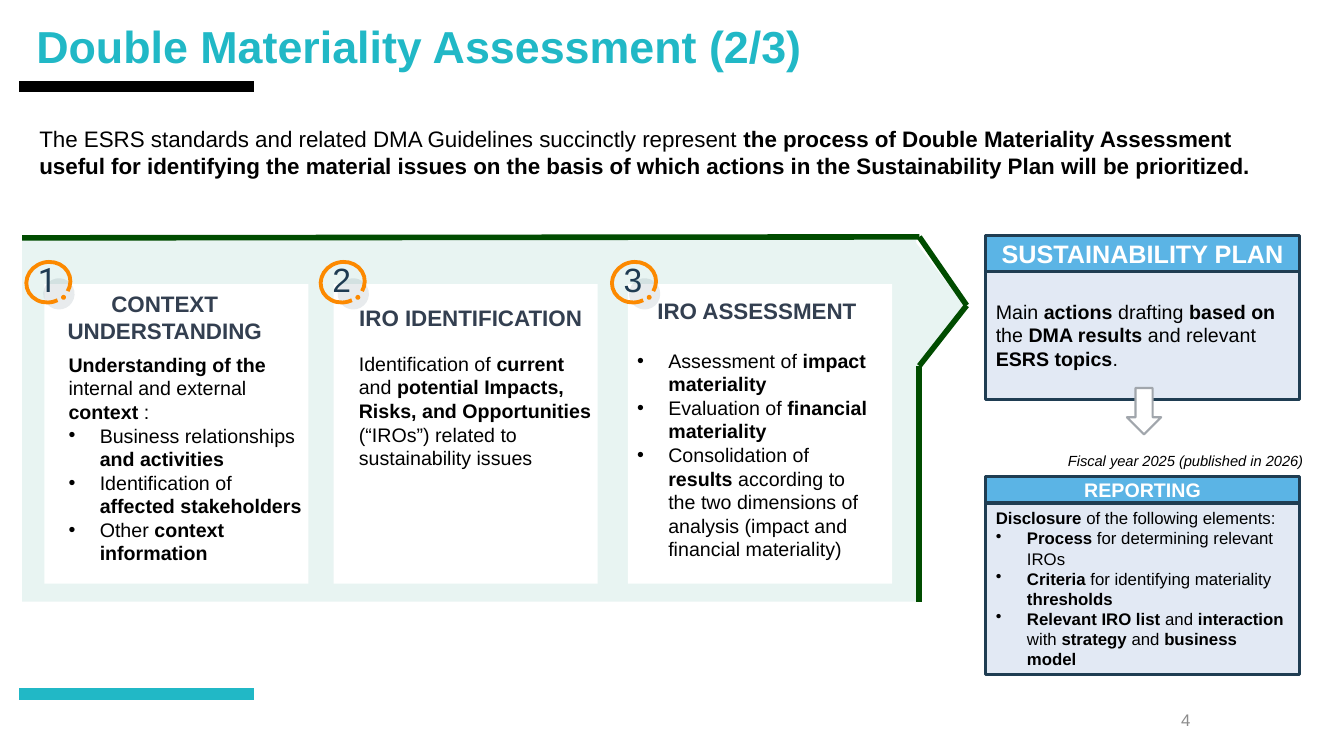
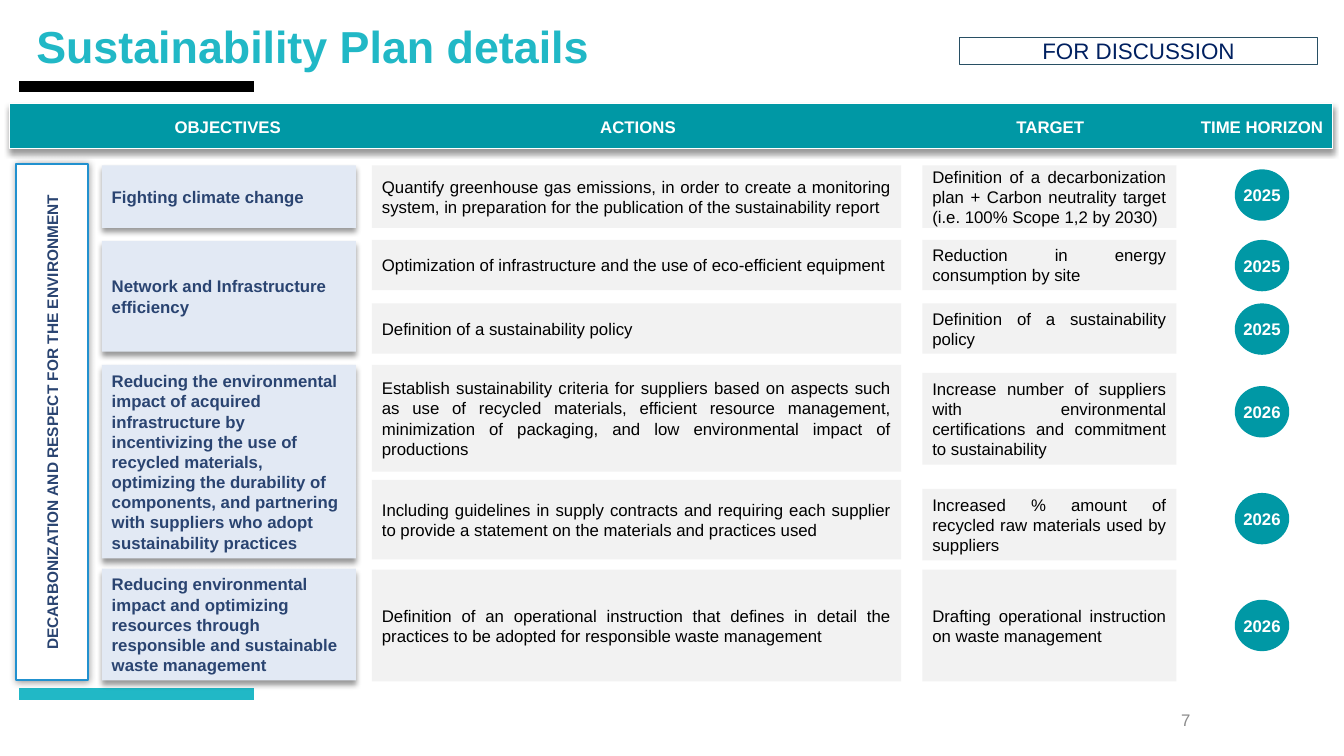
from itertools import pairwise
from lxml.etree import SubElement
from pptx import Presentation
from pptx.dml.color import RGBColor
from pptx.enum.shapes import MSO_CONNECTOR, MSO_SHAPE
from pptx.enum.text import MSO_ANCHOR, MSO_AUTO_SIZE, PP_ALIGN
from pptx.oxml.ns import qn
from pptx.util import Inches, Pt

# Grid: square cells, 75 rows high; every box is (column, row, columns, rows)
CELL = Inches(0.1)
WIDE, HIGH = 133.33, 75

CYAN = RGBColor(0x21, 0xB8, 0xC6)
TEAL = RGBColor(0x00, 0x98, 0xA5)
BLACK = RGBColor(0x00, 0x00, 0x00)
WHITE = RGBColor(0xFF, 0xFF, 0xFF)
GRAY = RGBColor(0x8C, 0x8C, 0x8C)
MINT = RGBColor(0xE8, 0xF4, 0xF2)
GREEN = RGBColor(0x00, 0x4C, 0x00)
SLATE = RGBColor(0x33, 0x3F, 0x50)
NAVY = RGBColor(0x1E, 0x3B, 0x52)
ORANGE = RGBColor(0xFC, 0x89, 0x00)
SKY = RGBColor(0x5B, 0xB4, 0xE5)
EDGE = RGBColor(0x1F, 0x3D, 0x52)
PALE = RGBColor(0xE2, 0xE9, 0xF4)
STEEL = RGBColor(0xA1, 0xA6, 0xAC)
INK = RGBColor(0x2A, 0x44, 0x71)
BLUE = RGBColor(0x21, 0x91, 0xCF)
DEEP = RGBColor(0x00, 0x20, 0x60)
FRAME = RGBColor(0x28, 0x4F, 0x64)
ASH = RGBColor(0xF2, 0xF2, 0xF2)

LEFT, MID, RIGHT, FULL = PP_ALIGN.LEFT, PP_ALIGN.CENTER, PP_ALIGN.RIGHT, PP_ALIGN.JUSTIFY
TOP, HALF = MSO_ANCHOR.TOP, MSO_ANCHOR.MIDDLE
RECT, OVAL = MSO_SHAPE.RECTANGLE, MSO_SHAPE.OVAL


def place(shape, box):
    for name, size in zip(("left", "top", "width", "height"), box):
        setattr(shape, name, round(size * CELL))


def write(shape, lines, size, ink, align=LEFT, anchor=HALF, pad=(0.1, 0.05),
          space=1.0, bold=False, italic=False, face="Arial"):
    """Fill a shape: *stars* mark bold words, a leading "- " marks a bullet."""
    frame = shape.text_frame
    form = {"word_wrap": True, "auto_size": MSO_AUTO_SIZE.NONE, "vertical_anchor": anchor,
            "margin_left": Inches(pad[0]), "margin_right": Inches(pad[0]),
            "margin_top": Inches(pad[1]), "margin_bottom": Inches(pad[1])}
    for name, value in form.items():
        setattr(frame, name, value)
    for count, line in enumerate(lines):
        para = frame.add_paragraph() if count else frame.paragraphs[0]
        para.alignment, para.line_spacing, para.space_before = align, space, Pt(0)
        dot = line.startswith("- ")
        props = para._p.get_or_add_pPr()
        props.set("marL", str(Inches(0.31) if dot else 0))
        props.set("indent", str(Inches(-0.31) if dot else 0))
        if dot:
            SubElement(props, qn("a:buChar")).set("char", "•")
        else:
            SubElement(props, qn("a:buNone"))
        for odd, piece in enumerate(line.removeprefix("- ").split("*")):
            if piece:
                run = para.add_run()
                run.text = piece
                font = {"name": face, "size": Pt(size), "bold": bold or odd % 2 == 1,
                        "italic": italic}
                for name, value in font.items():
                    setattr(run.font, name, value)
                run.font.color.rgb = ink
    return shape


def draw(host, kind, box, fill=None, edge=None, width=1.0, turn=0.0):
    shape = host.shapes.add_shape(kind, 0, 0, 0, 0)
    place(shape, box)
    shape.shadow.inherit = False
    shape.rotation = turn
    if fill is None:
        shape.fill.background()
    else:
        shape.fill.solid()
        shape.fill.fore_color.rgb = fill
    if edge is None:
        shape.line.fill.background()
    else:
        shape.line.color.rgb = edge
        shape.line.width = Pt(width)
    return shape


def label(host, box, *args, **form):
    text = host.shapes.add_textbox(0, 0, 0, 0)
    place(text, box)
    return write(text, *args, **form)


def rule(slide, start, end, ink, width):
    ends = [round(n * CELL) for n in (*start, *end)]
    line = slide.shapes.add_connector(MSO_CONNECTOR.STRAIGHT, *ends)
    line.line.color.rgb = ink
    line.line.width = Pt(width)
    SubElement(line._element.spPr, qn("a:effectLst"))


def shade(shape, blur=4, dist=3):
    glow = SubElement(shape._element.spPr.find(qn("a:effectLst")), qn("a:outerShdw"))
    form = {"blurRad": Pt(blur), "dist": Pt(dist), "dir": 90 * 60000, "rotWithShape": 0}
    for name, value in form.items():
        glow.set(name, str(value))
    ink = SubElement(glow, qn("a:srgbClr"))
    ink.set("val", str(BLACK))
    SubElement(ink, qn("a:alpha")).set("val", "40000")


def fade(shape, share):
    ink = shape._element.spPr.find(qn("a:solidFill"))[0]
    SubElement(ink, qn("a:alpha")).set("val", str(share * 1000))


def begin(deck, kind, title, number, width):
    """Add a slide with the shared title, bars and page number."""
    slide = deck.slides.add_slide(deck.slide_layouts[kind])
    place(slide.shapes.title, (2.6, 1.1, width, 7.6))
    write(slide.shapes.title, [title], 32, CYAN, space=0.9, bold=True)
    for row, ink in ((8.6, BLACK), (68.85, CYAN)):
        rule(slide, (1.9, row), (25.2, row), ink, 8)
    label(slide, (89.1, 69.4, 30, 4), [number], 12, GRAY, align=RIGHT)
    return slide


def body(slide, index, box, lines, size, **form):
    """Fill a body placeholder and bring it to the front."""
    hold = slide.placeholders[index]
    place(hold, box)
    write(hold, lines, size, BLACK, anchor=TOP, **form)
    hold._element.getparent().append(hold._element)


def badge(slide, x, y, digit, face):
    group = slide.shapes.add_group_shape()
    fade(draw(group, OVAL, (x + 1.7, y + 1.6, 3.1, 3.1), NAVY, turn=198.4), 10)
    ring = draw(group, MSO_SHAPE.ARC, (x, y, 4.4, 4), None, ORANGE, 2.75, 344.8)
    ring.adjustments[0], ring.adjustments[1] = 46.89, 23.99
    draw(group, OVAL, (x + 3.6, y + 3.4, 0.2, 0.2), ORANGE, ORANGE, 2)
    label(group, (x - 3.3, y - 1.5, 10.8, 6.9), [digit], 24, NAVY,
          align=MID, pad=(0, 0), space=0.9, face=face)


# Steps: card column, badge column, heading box, text box, face, heading, text
STEPS = [
    (4.4, 2.6, (4.5, 28.8, 23.7, 5.4), (5.8, 34.5, 25.8, 22), "Roboto",
     "CONTEXT UNDERSTANDING",
     ["*Understanding of the *internal and external *context *:",
      "- Business relationships *and activities*",
      "- Identification of *affected stakeholders*",
      "- Other *context information*"]),
    (33.1, 31.8, (34.9, 30.2, 23.6, 2.7), (34.6, 34.4, 25.8, 15.1), "Arial",
     "IRO IDENTIFICATION",
     ["Identification of *current* and *potential Impacts, Risks, and Opportunities *"
      "(“IROs”) related to sustainability issues"]),
    (62.3, 60.7, (63.3, 29.5, 23.6, 2.7), (62.2, 34.1, 25.8, 22), "Arial",
     "IRO ASSESSMENT",
     ["- Assessment of* impact materiality*",
      "- Evaluation of* financial materiality*",
      "- Consolidation of *results *according to the two dimensions of analysis "
      "(impact and financial materiality)"]),
]


def process(slide, box):
    """Green arrow panel holding the three steps."""
    x, y, w, h = box
    draw(slide, RECT, box, MINT)
    draw(slide, MSO_SHAPE.ISOSCELES_TRIANGLE, (x + w - 4, y + 4.4, 12.7, 4.9), MINT, turn=90)
    right = x + w + 0.3
    points = [(x, y + 0.1), (right, y), (right + 4.7, y + 6.8), (right, y + 12.8),
              (right, y + h)]
    for start, end in pairwise(points):
        rule(slide, start, end, GREEN, 4)
    for order, (col, ring, top, text, face, head, lines) in enumerate(STEPS, 1):
        draw(slide, RECT, (col, y + 4.7, 26.2, 29.7), WHITE)
        body(slide, order + 1, text, lines, 14)
        label(slide, top, [head], 16, SLATE, align=MID, pad=(0, 0), bold=True)
        badge(slide, ring, y + 2.5, str(order), face)


def panel(slide, box, cap, head, size, lines, small):
    """Framed box with a caption strip of the given height."""
    x, y, w, h = box
    strip = draw(slide, RECT, (x, y, w, cap), SKY, EDGE, 2.25)
    write(strip, [head], size, WHITE, align=MID, bold=True)
    write(draw(slide, RECT, (x, y + cap, w, h - cap), PALE, EDGE, 2.25), lines, small, BLACK)


def assess(deck):
    slide = begin(deck, 4, "Double Materiality Assessment (2/3)", "4", 118.9)
    body(slide, 1, (2.6, 11.7, 125.3, 6.6),
         ["The ESRS standards and related DMA Guidelines succinctly represent *the process of "
          "Double Materiality Assessment useful for identifying the material issues on the basis "
          "of which actions in the Sustainability Plan will be prioritized.*"],
         16, pad=(0.13, 0.07))
    process(slide, (2.2, 23.5, 88.7, 36.2))
    # Outcomes on the right
    panel(slide, (97.8, 47.3, 31.1, 19.6), 2.6, "REPORTING", 14,
          ["*Disclosure* of the following elements:",
           "- *Process* for determining relevant IROs",
           "- *Criteria* for identifying materiality *thresholds*",
           "- *Relevant IRO list* and *interaction* with *strategy* and *business model*"], 12)
    write(draw(slide, RECT, (101.1, 44.6, 29.2, 2.1), WHITE),
          ["Fiscal year 2025 (published in 2026)"], 10.5, BLACK, align=RIGHT, italic=True)
    panel(slide, (97.8, 23.4, 31.1, 16.2), 3.5, "SUSTAINABILITY PLAN", 18,
          ["Main *actions* drafting *based on *the *DMA results *and relevant *ESRS topics*."], 14)
    draw(slide, MSO_SHAPE.DOWN_ARROW, (111.8, 38.5, 3.4, 4.6), WHITE, STEEL, 1.5)


# Plan: heading centres, objectives (row, rows, text)
HEADS = [(22.6, "OBJECTIVES"), (63.3, "ACTIONS"), (104.2, "TARGET"), (125.2, "TIME HORIZON")]
GOALS = [
    (16.4, 6.2, "Fighting climate change"),
    (23.9, 11, "Network and Infrastructure efficiency"),
    (36.2, 19.2, "Reducing the environmental impact of acquired infrastructure by incentivizing "
     "the use of recycled materials, optimizing the durability of components, and partnering "
     "with suppliers who adopt sustainability practices"),
    (56.4, 11.1, "Reducing environmental impact and optimizing resources through responsible "
     "and sustainable waste management"),
]
# Actions: (row, rows), text, target (row, rows), text, year row, year
ACTS = [
    ((16.4, 6.2), "Quantify greenhouse gas emissions, in order to create a monitoring system, in "
     "preparation for the publication of the sustainability report",
     (16.4, 6.2), "Definition of a decarbonization plan + Carbon neutrality target "
     "(i.e. 100% Scope 1,2 by 2030)", 16.8, "2025"),
    ((23.8, 5), "Optimization of infrastructure and the use of eco-efficient equipment",
     (23.8, 5), "Reduction in energy consumption by site", 23.8, "2025"),
    ((30.1, 5), "Definition of a sustainability policy",
     (30.1, 5), "Definition of a sustainability policy", 30.1, "2025"),
    ((36.2, 10.6), "Establish sustainability criteria for suppliers based on aspects such as use "
     "of recycled materials, efficient resource management, minimization of packaging, and low "
     "environmental impact of productions",
     (37, 9.1), "Increase number of suppliers with environmental certifications and commitment "
     "to sustainability", 38.3, "2026"),
    ((47.6, 7.9), "Including guidelines in supply contracts and requiring each supplier to "
     "provide a statement on the materials and practices used",
     (48.5, 7.1), "Increased % amount of recycled raw materials used by suppliers",
     48.9, "2026"),
    ((56.5, 11.1), "Definition of an operational instruction that defines in detail the "
     "practices to be adopted for responsible waste management",
     (56.5, 11.1), "Drafting operational instruction on waste management", 59.5, "2026"),
]


def theme(slide, box, text):
    """Upright side strip: a lying box turned a quarter left."""
    x, y, w, h = box
    lying = (x + (w - h) / 2, y + (h - w) / 2, h, w)
    strip = draw(slide, RECT, lying, WHITE, BLUE, 1.5, 270)
    shade(strip, 5, 0)
    write(strip, [text], 11, INK, align=MID, bold=True)


def header(slide, box):
    x, y, w, h = box
    shade(draw(slide, RECT, box, TEAL, WHITE, 0.5))
    for centre, text in HEADS:
        label(slide, (centre - 7.2, y + 0.8, 14.4, 3), [text], 12, WHITE,
              align=MID, anchor=TOP, bold=True)


def grid(slide, goal, act, aim, year):
    """Plan rows; each column is given as (column, columns)."""
    for row, rows, text in GOALS:
        card = draw(slide, RECT, (goal[0], row, goal[1], rows), PALE)
        shade(card)
        write(card, [text], 12, INK, bold=True)
    for span, task, reach, target, top, when in ACTS:
        for (col, cols), (row, rows), text in ((act, span, task), (aim, reach, target)):
            cell = draw(slide, RECT, (col, row, cols, rows), ASH)
            write(cell, [text], 12, BLACK, align=FULL)
        dot = draw(slide, MSO_SHAPE.FLOWCHART_CONNECTOR, (year[0], top, year[1], 5.1), TEAL)
        write(dot, [when], 12, WHITE, align=MID, pad=(0, 0), bold=True)


def plan(deck):
    slide = begin(deck, 5, "Sustainability Plan details", "7", 61.2)
    write(draw(slide, RECT, (95.2, 3.7, 35.5, 2.7), None, FRAME, 1),
          ["FOR DISCUSSION"], 16, DEEP, align=MID)
    theme(slide, (1.6, 16.3, 7.1, 51.2), "DECARBONIZATION AND RESPECT FOR THE ENVIRONMENT")
    header(slide, (0.9, 10.3, 131.3, 4.4))
    grid(slide, (10.1, 25.2), (36.9, 52.5), (91.5, 25.2), (122.5, 5.4))


def main():
    deck = Presentation()
    deck.slide_width, deck.slide_height = round(WIDE * CELL), HIGH * CELL
    assess(deck)
    plan(deck)
    deck.save("out.pptx")


if __name__ == "__main__":
    main()
